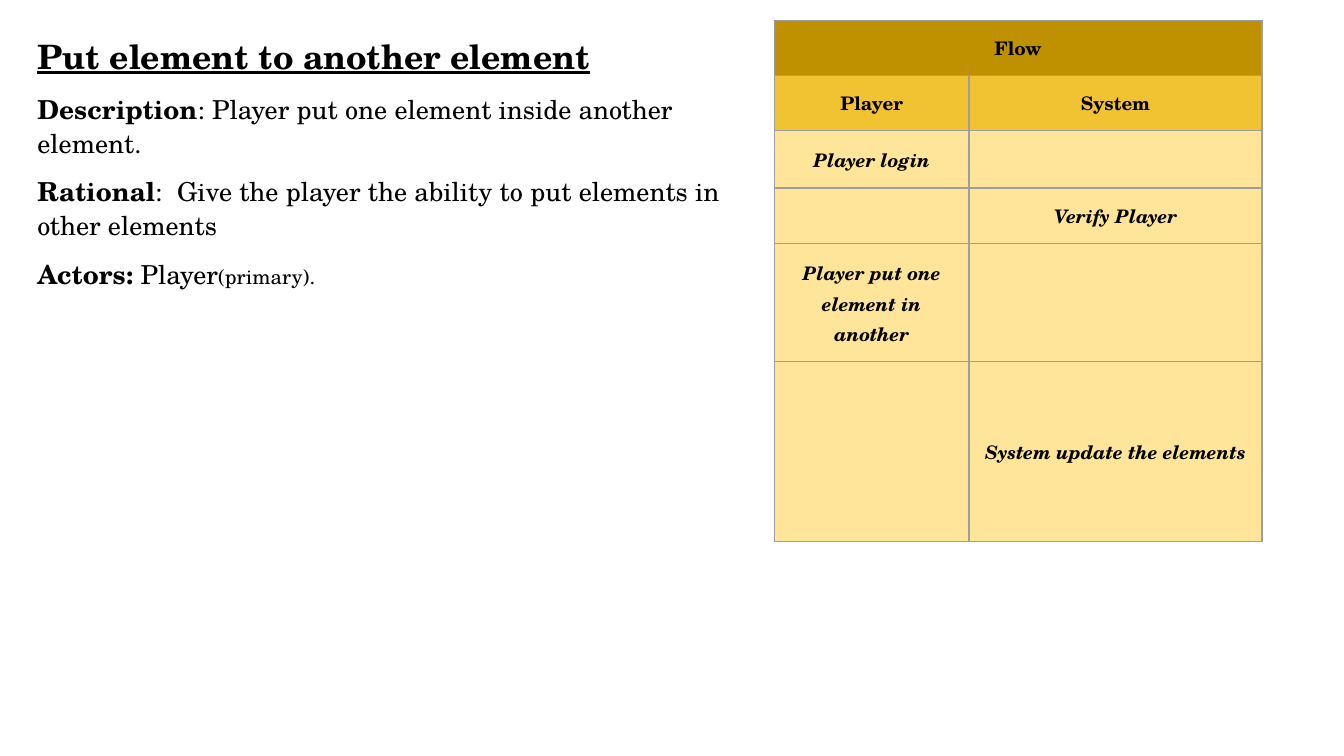
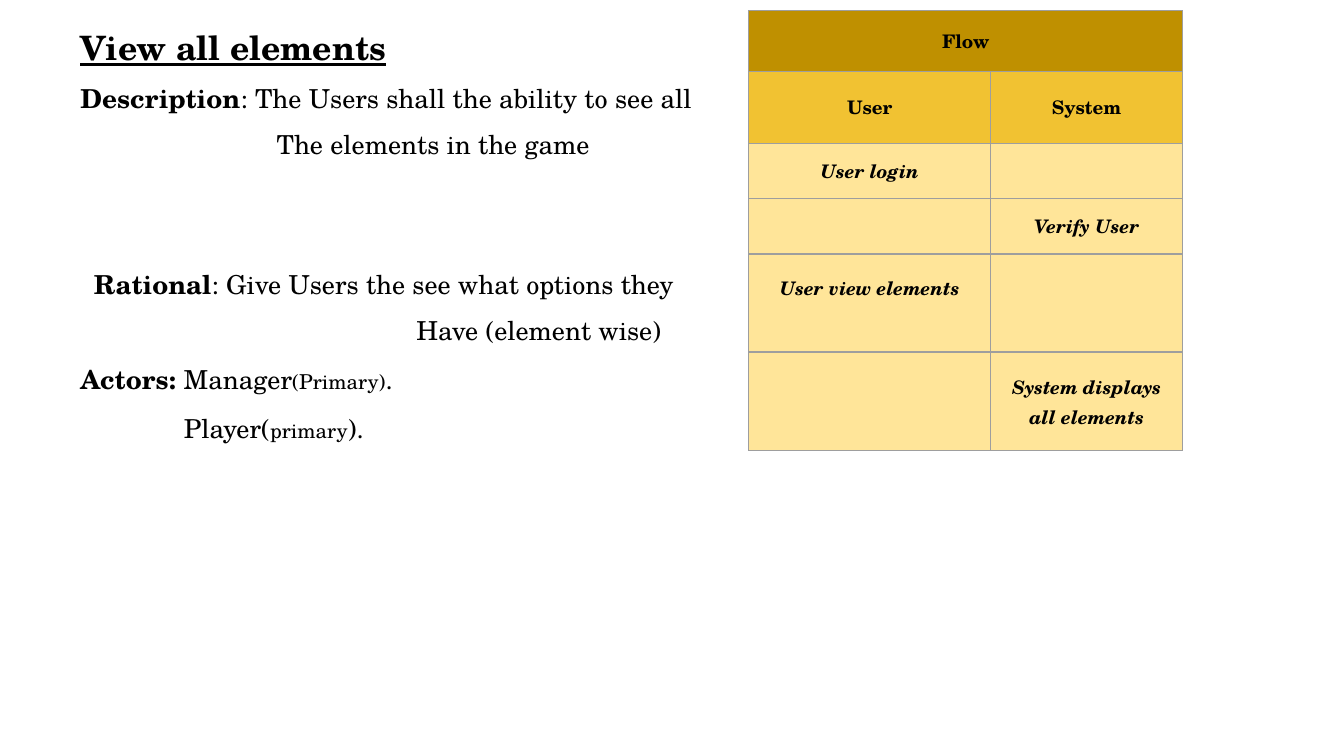
from dataclasses import dataclass

from lxml import etree
from pptx import Presentation
from pptx.dml.color import RGBColor
from pptx.enum.text import MSO_ANCHOR, PP_ALIGN
from pptx.oxml.ns import qn
from pptx.util import Inches, Pt

FONT = "TeX Gyre Schola"
BLACK = RGBColor(0x00, 0x00, 0x00)
DARK_GOLD = RGBColor(0xBF, 0x90, 0x00)
GOLD = RGBColor(0xF1, 0xC2, 0x32)
PALE_GOLD = RGBColor(0xFF, 0xE5, 0x99)
BORDER_GREY = RGBColor(0x9E, 0x9E, 0x9E)
BORDER_WIDTH = Pt(0.75)
MARGIN = Inches(0.1)
LINE_SPACING = 1.08
TITLE_SIZE, BODY_SIZE, NOTE_SIZE, CELL_SIZE = 18, 14, 11, 10
MIDDLE = MSO_ANCHOR.MIDDLE
CENTER = PP_ALIGN.CENTER


@dataclass(frozen=True)
class Span:
    """A stretch of text in one style."""
    text: str
    bold: bool = False
    size: int = BODY_SIZE


@dataclass(frozen=True)
class Para:
    """A line of the description; indent in inches, space before in points."""
    spans: tuple[Span, ...]
    indent: float = 0
    before: float = 8
    spacing: float = LINE_SPACING


@dataclass(frozen=True)
class FlowRow:
    """A table row with an actor step and a system step."""
    height: float
    actor: str = ""
    system: str = ""
    space_below: float = 0.1
    spacing: float = 1.0


@dataclass(frozen=True)
class UseCase:
    """The content and layout of one slide, with places in inches."""
    title: str
    title_indent: float
    text_at: tuple[float, float, float, float]
    paras: tuple[Para, ...]
    table_at: tuple[float, float]
    columns: tuple[float, ...]
    flow_height: float
    rows: tuple[FlowRow, ...]


USE_CASES = (
    UseCase(
        title="Put element to another element",
        title_indent=0,
        text_at=(0.18, 0.14, 5.58, 3.31),
        paras=(
            Para((Span("Description", True),
                  Span(": Player put one element inside another element."))),
            Para((Span("Rational", True),
                  Span(":  Give the player the ability to put elements in other elements"))),
            Para((Span("Actors: ", True), Span("Player"),
                  Span("(primary).", size=NOTE_SIZE))),
        ),
        table_at=(5.76, 0.15),
        columns=(1.45, 2.18),
        flow_height=0.41,
        rows=(
            FlowRow(0.41, "Player", "System"),
            FlowRow(0.43, "Player login", spacing=LINE_SPACING),
            FlowRow(0.41, system="Verify Player"),
            FlowRow(0.88, "Player put one element in another", spacing=LINE_SPACING),
            FlowRow(1.34, system="System update the elements", spacing=LINE_SPACING),
        ),
    ),
    UseCase(
        title="View all elements",
        title_indent=0.5,
        text_at=(0, 0.08, 5.4, 3.16),
        paras=(
            Para((Span("Description", True),
                  Span(": The Users shall the ability to see all")), 0.5, spacing=1.0),
            Para((Span("The elements in the game"),), 1.96, spacing=1.0),
            Para((Span("Rational", True),
                  Span(": Give Users the see what options they")), 0.6, 58, 1.0),
            Para((Span("Have (element wise)"),), 3, spacing=1.0),
            Para((Span("Actors: ", True), Span("Manager"),
                  Span("(Primary)", size=NOTE_SIZE), Span(".")), 0.5),
            Para((Span("Player("), Span("primary", size=NOTE_SIZE), Span(").")), 1.27),
        ),
        table_at=(5.57, 0.08),
        columns=(1.08, 0.72, 1.43),
        flow_height=0.45,
        rows=(
            FlowRow(0.54, "User", "System"),
            FlowRow(0.41, "User login"),
            FlowRow(0.41, system="Verify User"),
            FlowRow(0.73, "User view elements", space_below=0.32),
            FlowRow(0.73, system="System displays all elements", spacing=LINE_SPACING),
        ),
    ),
)


def set_font(font, size: int, bold: bool) -> None:
    """Give a font the deck's typeface and colour."""
    font.name = FONT
    font.size = Pt(size)
    font.bold = bold
    font.color.rgb = BLACK


def fill_para(paragraph, para: Para) -> None:
    """Write the spans of a paragraph and set its indent and spacing."""
    paragraph.line_spacing = para.spacing
    paragraph.space_before = Pt(para.before)
    paragraph._p.get_or_add_pPr().set("marL", str(Inches(para.indent)))
    for span in para.spans:
        run = paragraph.add_run()
        run.text = span.text
        set_font(run.font, span.size, span.bold)


def add_description(page, case: UseCase) -> None:
    """Add the underlined title and the description below it."""
    box = page.shapes.add_textbox(*map(Inches, case.text_at))
    frame = box.text_frame
    frame.word_wrap = True
    frame.margin_left = frame.margin_right = MARGIN
    frame.margin_top = frame.margin_bottom = MARGIN
    heading = frame.paragraphs[0]
    fill_para(heading, Para((Span(case.title, True, TITLE_SIZE),), case.title_indent, 0))
    heading.runs[0].font.underline = True
    for para in case.paras:
        fill_para(frame.add_paragraph(), para)


def add_borders(cell) -> None:
    """Draw a thin grey line on every side of a cell."""
    properties = cell._tc.get_or_add_tcPr()
    for index, side in enumerate(("a:lnL", "a:lnR", "a:lnT", "a:lnB")):
        line = etree.Element(qn(side), w=str(BORDER_WIDTH))
        fill = etree.SubElement(line, qn("a:solidFill"))
        etree.SubElement(fill, qn("a:srgbClr"), val=str(BORDER_GREY))
        properties.insert(index, line)


def fill_cell(cell, text: str, italic: bool, spacing: float, space_below: float) -> None:
    """Write centred bold text in a cell."""
    cell.vertical_anchor = MIDDLE
    cell.margin_left = cell.margin_right = cell.margin_top = MARGIN
    cell.margin_bottom = Inches(space_below)
    paragraph = cell.text_frame.paragraphs[0]
    paragraph.alignment = CENTER
    paragraph.line_spacing = spacing
    set_font(paragraph.font, CELL_SIZE, True)
    paragraph.font.italic = italic
    if text:
        paragraph.add_run().text = text


def add_flow_table(page, case: UseCase) -> None:
    """Add the table of steps, with the actor left and the system right."""
    heights = [case.flow_height] + [row.height for row in case.rows]
    last = len(case.columns) - 1
    left, top = case.table_at
    frame = page.shapes.add_table(
        len(heights), len(case.columns), Inches(left), Inches(top),
        Inches(sum(case.columns)), Inches(sum(heights)))
    table = frame.table
    table.first_row = table.horz_banding = False
    for column, width in zip(table.columns, case.columns):
        column.width = Inches(width)
    for index, height in enumerate(heights):
        table.rows[index].height = Inches(height)
        color = (DARK_GOLD, GOLD, PALE_GOLD)[min(index, 2)]
        for cell in table.rows[index].cells:
            cell.fill.solid()
            cell.fill.fore_color.rgb = color
            add_borders(cell)
            fill_cell(cell, "", False, 1.0, 0.1)

    table.cell(0, 0).merge(table.cell(0, last))
    fill_cell(table.cell(0, 0), "Flow", False, 1.0, 0.1)
    for index, row in enumerate(case.rows, start=1):
        if last > 1:
            table.cell(index, 0).merge(table.cell(index, last - 1))
        for column, text in ((0, row.actor), (last, row.system)):
            fill_cell(table.cell(index, column), text, index > 1,
                      row.spacing, row.space_below)


def main() -> None:
    """Build the widescreen deck with one slide for each use case."""
    deck = Presentation()
    deck.slide_width = Inches(10)
    deck.slide_height = deck.slide_width * 9 // 16
    for case in USE_CASES:
        page = deck.slides.add_slide(deck.slide_layouts[6])
        add_description(page, case)
        add_flow_table(page, case)
    deck.save("out.pptx")


if __name__ == "__main__":
    main()
